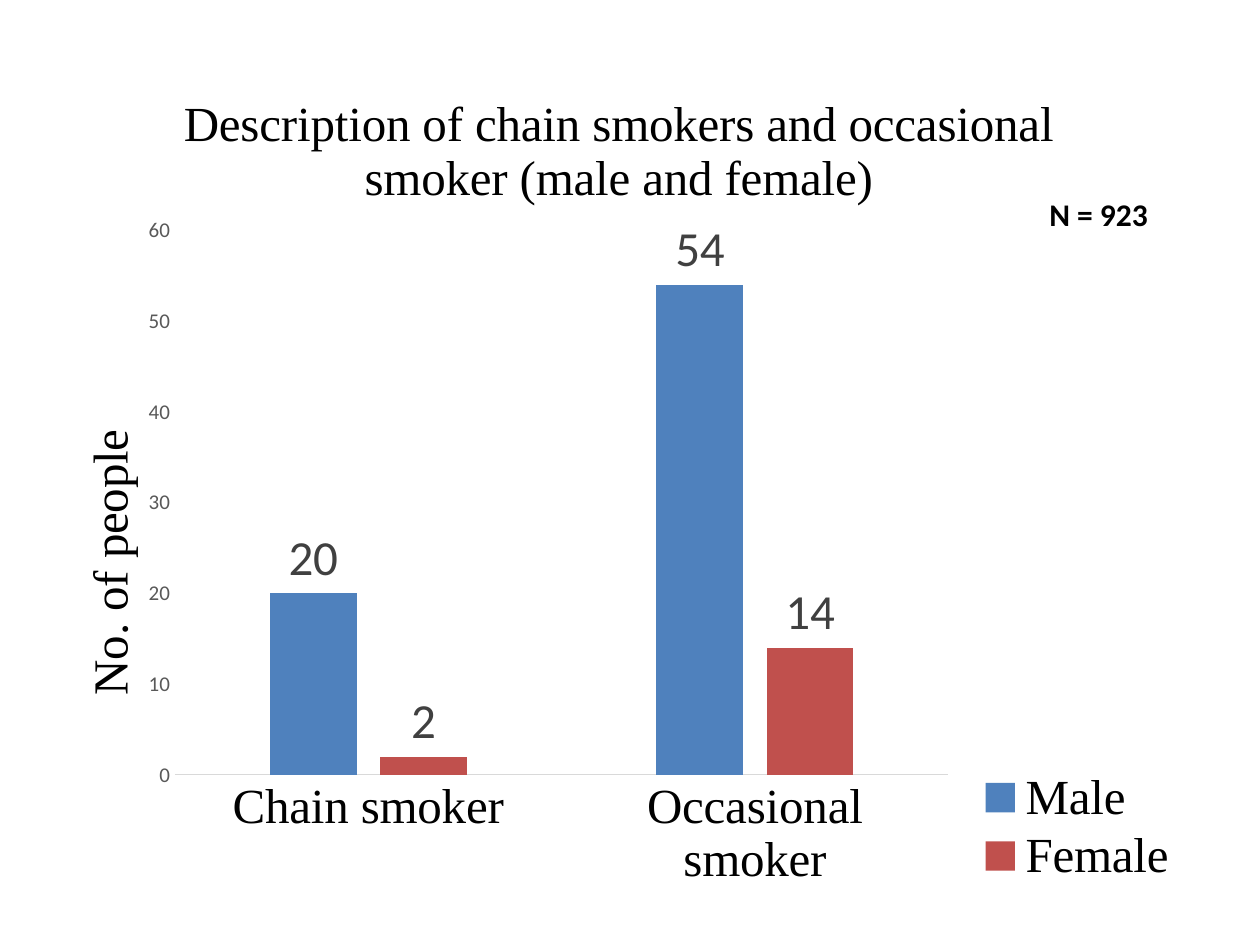
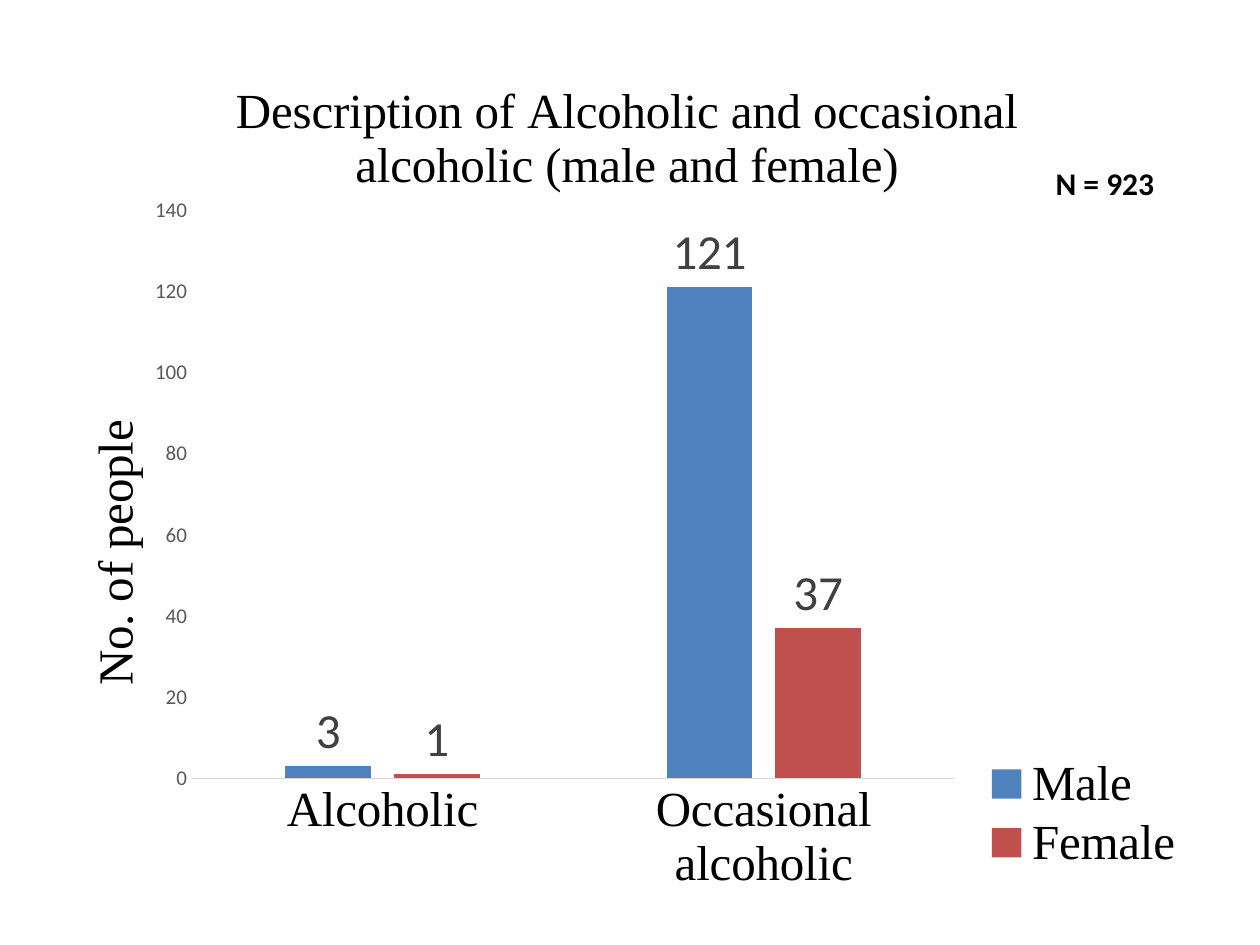
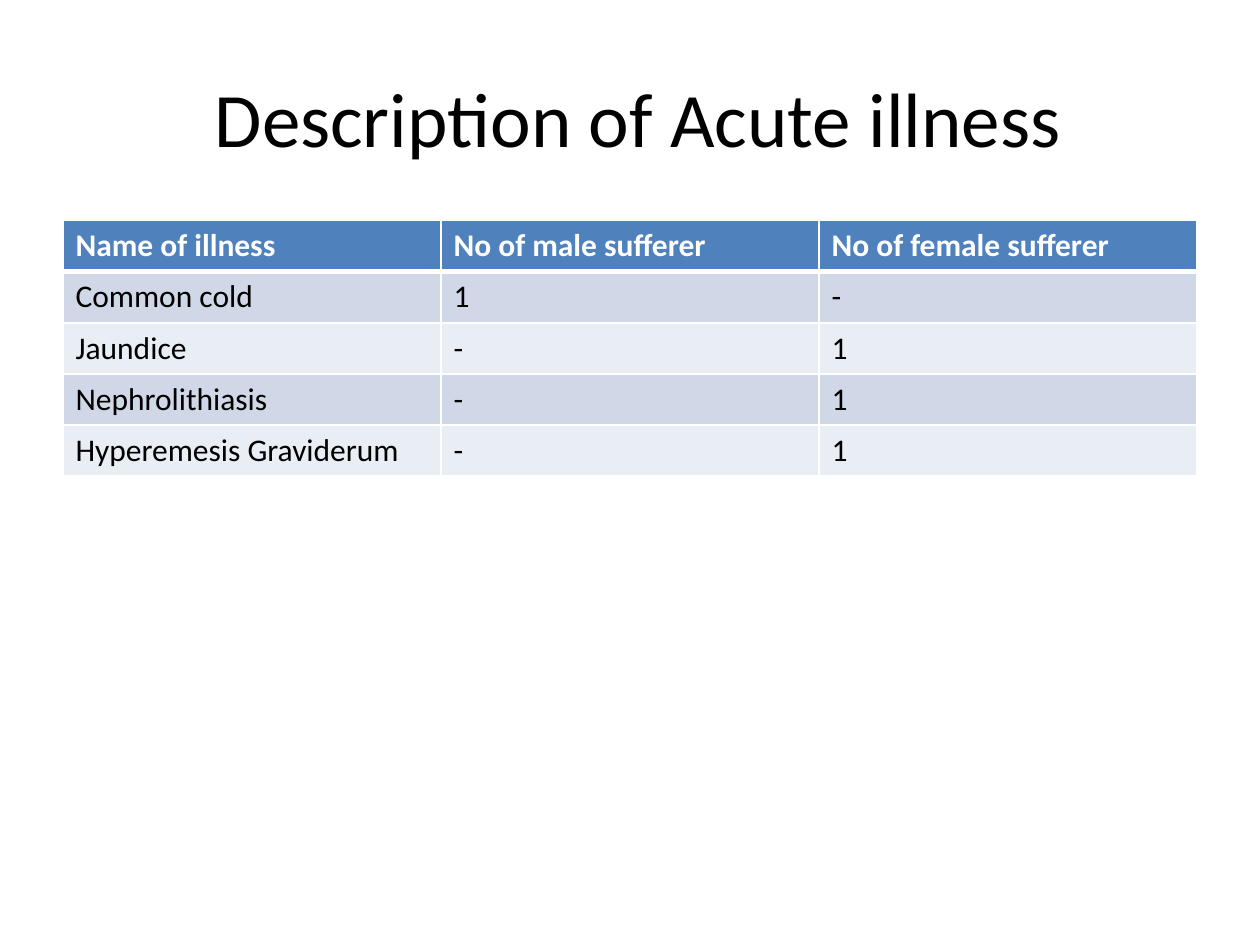
from lxml import etree
from pptx import Presentation
from pptx.chart.data import CategoryChartData
from pptx.dml.color import RGBColor
from pptx.enum.chart import (XL_CHART_TYPE, XL_LABEL_POSITION, XL_LEGEND_POSITION,
                             XL_TICK_MARK)
from pptx.enum.text import MSO_ANCHOR, MSO_AUTO_SIZE, PP_ALIGN
from pptx.oxml.ns import qn
from pptx.util import Inches, Pt

COLUMNS = XL_CHART_TYPE.COLUMN_CLUSTERED
OUTSIDE = XL_LABEL_POSITION.OUTSIDE_END
RIGHT = XL_LEGEND_POSITION.RIGHT
NO_TICK = XL_TICK_MARK.NONE
MIDDLE, GROW, CENTER = MSO_ANCHOR.MIDDLE, MSO_AUTO_SIZE.SHAPE_TO_FIT_TEXT, PP_ALIGN.CENTER

C = {"black": "000000", "white": "FFFFFF", "blue": "4F81BD", "red": "C0504D",
     "axis": "D9D9D9", "tick": "595959", "label": "404040",
     "band": "D0D8E8", "light": "E9EDF4"}
RGB = {name: RGBColor.from_string(value) for name, value in C.items()}
FORMATS = {
    "base": {"name": "Calibri", "size": Pt(10), "color": "black"},
    "chart": {"name": "Times New Roman", "size": Pt(28), "bold": False, "color": "black"},
    "label": {"name": "Calibri", "size": Pt(28), "color": "label"},
    "tick": {"name": "Calibri", "size": Pt(12), "color": "tick"},
    "note": {"name": "Calibri", "size": Pt(18), "bold": True, "color": "black"},
    "title": {"name": "Calibri", "size": Pt(44), "color": "black"},
    "head": {"name": "Calibri", "size": Pt(18), "bold": True, "color": "white"},
    "body": {"name": "Calibri", "size": Pt(18), "bold": False, "color": "black"},
}


def style(font, kind):
    for key, value in FORMATS[kind].items():
        if key == "color":
            font.color.rgb = RGB[value]
        else:
            setattr(font, key, value)


def place(el, index, **shares):
    """Fix a chart part at shares (x, y, w, h) of the chart's size."""
    for old in el.findall(qn("c:layout")):
        el.remove(old)
    layout = etree.Element(qn("c:layout"))
    manual = etree.SubElement(layout, qn("c:manualLayout"))
    modes = {"xMode": "edge", "yMode": "edge"}
    if el.tag == qn("c:plotArea"):
        modes = {"layoutTarget": "inner", **modes}
    for tag, value in {**modes, **shares}.items():
        etree.SubElement(manual, qn(f"c:{tag}")).set("val", str(value))
    el.insert(index, layout)


prs = Presentation()
prs.slide_width, prs.slide_height = Inches(10), Inches(7.5)
W, H = prs.slide_width, prs.slide_height
blank = prs.slide_layouts[6]

# Column charts by sex
charts = [
    {"title": "Description of chain smokers and occasional smoker (male and female)",
     "cats": ["Chain smoker", "Occasional smoker"], "Male": [20, 54], "Female": [2, 14],
     "at": (0.18, 0.32, 9.3, 6.86), "note": (8.23, 1.5), "top": 60, "step": 10,
     "plot": (0.13, 0.22, 0.66, 0.63), "heading": (0.13, 0.05),
     "axis": (0.04, 0.44), "legend": (0.82, 0.84, 0.17, 0.14)},
    {"title": "Description of Alcoholic and occasional alcoholic (male and female)",
     "cats": ["Alcoholic", "Occasional alcoholic"], "Male": [3, 121], "Female": [1, 37],
     "at": (0.22, 0.28, 9.31, 6.94), "note": (8.28, 1.25), "top": 140, "step": 20,
     "plot": (0.14, 0.2, 0.65, 0.65), "heading": (0.17, 0.04),
     "axis": (0.04, 0.43), "legend": (0.82, 0.82, 0.17, 0.14)},
]
for spec_row in charts:
    s = prs.slides.add_slide(blank)
    data = CategoryChartData()
    data.categories = spec_row["cats"]
    for sex in ("Male", "Female"):
        data.add_series(sex, spec_row[sex])
    chart = s.shapes.add_chart(COLUMNS, *map(Inches, spec_row["at"]), data).chart
    style(chart.font, "base")

    plot = chart.plots[0]
    plot.gap_width, plot.overlap, plot.vary_by_categories = 219, -27, False
    for series, color in zip(plot.series, ("blue", "red")):
        series.format.fill.solid()
        series.format.fill.fore_color.rgb = RGB[color]
        labels = series.data_labels
        labels.show_value, labels.position = True, OUTSIDE
        style(labels.font, "label")

    cat, val = chart.category_axis, chart.value_axis
    for axis, kind in ((cat, "chart"), (val, "tick")):
        axis.major_tick_mark = axis.minor_tick_mark = NO_TICK
        axis.has_major_gridlines = False
        style(axis.tick_labels.font, kind)
    cat.format.line.color.rgb = RGB["axis"]
    cat.format.line.width = Pt(0.75)
    val.format.line.fill.background()
    val.minimum_scale, val.maximum_scale, val.major_unit = 0, spec_row["top"], spec_row["step"]

    chart.has_title = val.has_title = chart.has_legend = True
    for title, text in ((chart.chart_title, spec_row["title"]),
                        (val.axis_title, "No. of people")):
        title.text_frame.text = text
        style(title.text_frame.paragraphs[0].runs[0].font, "chart")
    chart.legend.position, chart.legend.include_in_layout = RIGHT, False
    style(chart.legend.font, "chart")

    root = chart.element
    root.xpath(".//c:valAx/c:title//a:bodyPr")[0].set("rot", "-5400000")
    for query, index, key in (("c:chart/c:title", 1, "heading"),
                              (".//c:valAx/c:title", 1, "axis"),
                              (".//c:legend", 1, "legend"),
                              (".//c:plotArea", 0, "plot")):
        place(root.xpath(query)[0], index, **dict(zip("xywh", spec_row[key])))

    tf = s.shapes.add_textbox(*map(Inches, (*spec_row["note"], 1.25, 0.4))).text_frame
    tf.word_wrap, tf.auto_size = True, GROW
    r = tf.paragraphs[0].add_run()
    r.text = "N = 923"
    style(r.font, "note")

# Acute illness table
s = prs.slides.add_slide(blank)
margin = int(W * 0.05)
tf = s.shapes.add_textbox(margin, int(H * 0.04), W - 2 * margin, Inches(1.25)).text_frame
tf.word_wrap, tf.vertical_anchor, tf.margin_left = True, MIDDLE, Inches(0.23)
p = tf.paragraphs[0]
p.alignment = CENTER
r = p.add_run()
r.text = "Description of Acute illness"
style(r.font, "title")

rows = [("Name of illness", "No of male sufferer", "No of female sufferer"),
        ("Common cold", "1", "-"),
        ("Jaundice", "-", "1"),
        ("Nephrolithiasis", "-", "1"),
        ("Hyperemesis Graviderum", "-", "1")]
table = s.shapes.add_table(len(rows), 3, margin, Inches(1.75),
                           W - 2 * margin, Inches(2.03)).table
for i, row in enumerate(rows):
    for j, text in enumerate(row):
        cell = table.cell(i, j)
        cell.fill.solid()
        cell.fill.fore_color.rgb = RGB["blue" if i == 0 else "band" if i % 2 else "light"]
        r = cell.text_frame.paragraphs[0].add_run()
        r.text = text
        style(r.font, "body" if i else "head")
        thick = {0: "lnB", 1: "lnT"}.get(i)
        for k, side in enumerate(("lnL", "lnR", "lnT", "lnB")):
            ln = etree.Element(qn(f"a:{side}"), w=str(Pt(3 if side == thick else 1)))
            fill = etree.SubElement(ln, qn("a:solidFill"))
            etree.SubElement(fill, qn("a:srgbClr")).set("val", C["white"])
            cell._tc.get_or_add_tcPr().insert(k, ln)

prs.save("out.pptx")
